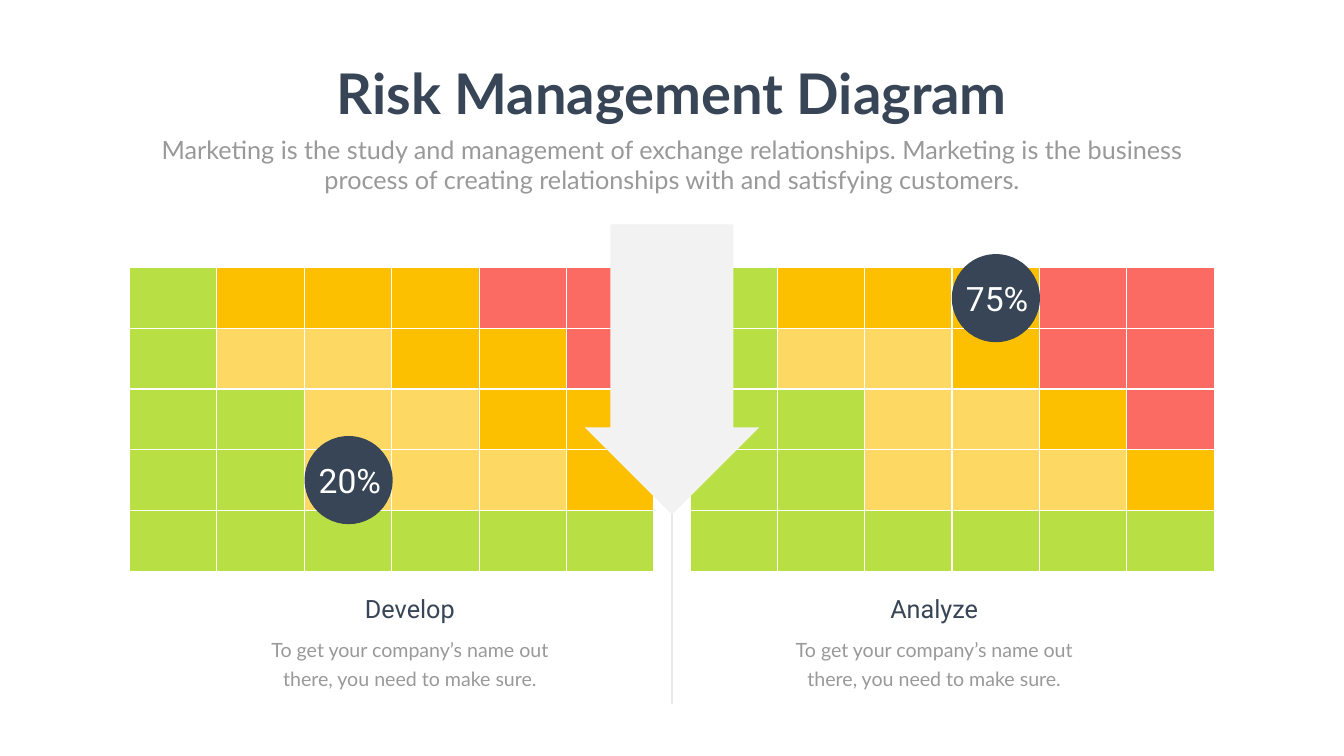
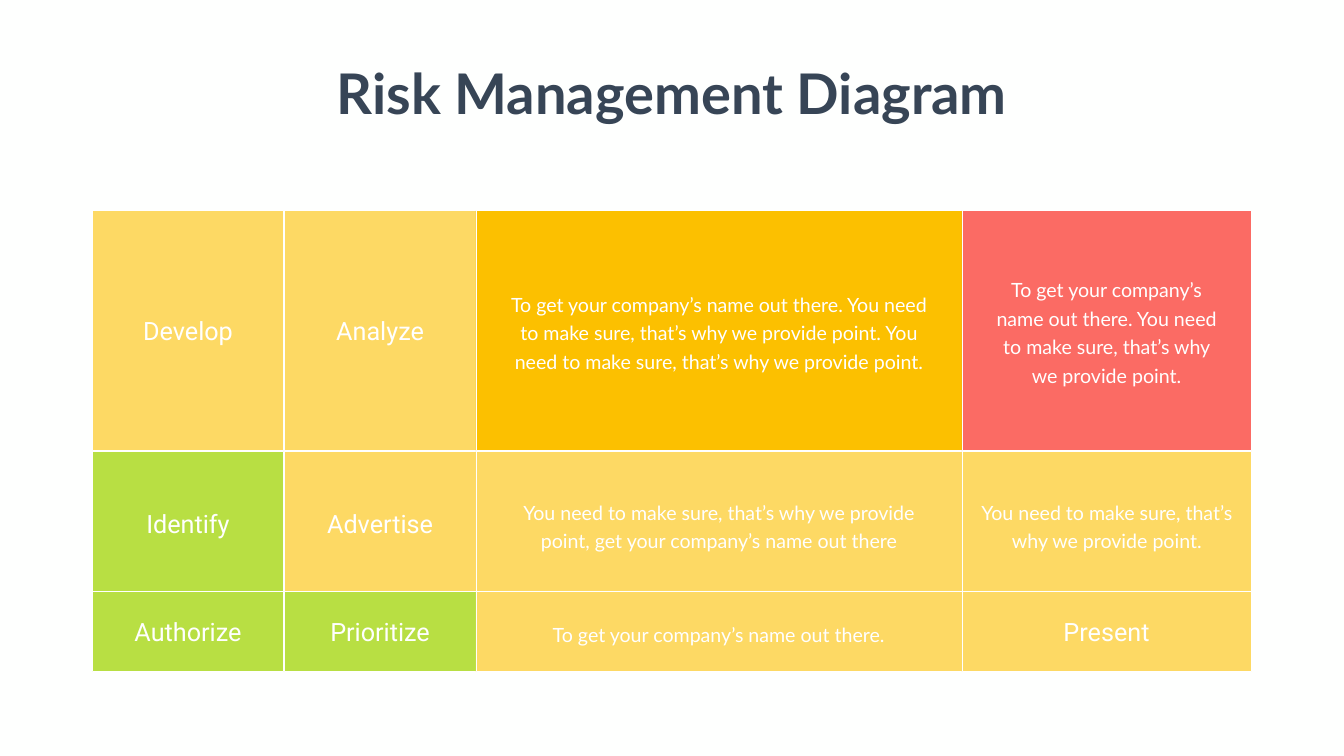
from pptx import Presentation
from pptx.dml.color import RGBColor
from pptx.enum.shapes import MSO_CONNECTOR as CONN, MSO_SHAPE as SHAPE
from pptx.enum.text import MSO_ANCHOR as ANCHOR, MSO_AUTO_SIZE as AUTO, PP_ALIGN as ALIGN
from pptx.oxml.ns import qn
from pptx.util import Pt
from lxml.etree import SubElement

PX = 9144  # 100 px to the inch

PAPER = RGBColor(0xFE, 0xFF, 0xFE)
WHITE = RGBColor(0xFF, 0xFF, 0xFF)
NAVY = RGBColor(0x37, 0x45, 0x56)
TEXT_GREY = RGBColor(0x99, 0x99, 0x99)
LINE_GREY = RGBColor(0x80, 0x80, 0x80)
ARROW_GREY = RGBColor(0xF2, 0xF2, 0xF2)
GREEN = RGBColor(0xB8, 0xDF, 0x43)
YELLOW = RGBColor(0xFD, 0xD9, 0x64)
ORANGE = RGBColor(0xFC, 0xC0, 0x00)
RED = RGBColor(0xFB, 0x6B, 0x64)
RISK = {"G": GREEN, "Y": YELLOW, "O": ORANGE, "R": RED}

# Text styles: font attributes
TITLE = {"name": "Lato", "size": Pt(80), "bold": True}
SUBTITLE = {"name": "Lato", "size": Pt(36)}
LABEL = {"name": "Roboto", "size": Pt(36)}
BODY = {"name": "Lato", "size": Pt(28)}
PERCENT = {"name": "Roboto", "size": Pt(48)}


class Deck:
    def __init__(self, width, height):
        self.prs = Presentation()
        self.prs.slide_width, self.prs.slide_height = width * PX, height * PX
        fill = self.prs.slide_master.background.fill
        fill.solid()
        fill.fore_color.rgb = PAPER

    def new_slide(self, title):
        self.slide = self.prs.slides.add_slide(self.prs.slide_layouts[5])
        self.shapes = self.slide.shapes
        sp = self.shapes.title
        sp.left, sp.top, sp.width, sp.height = [v * PX for v in (646, 112, 1374, 145)]
        self.set_text(sp, title, TITLE, NAVY, wrap=False)

    def group(self):
        return self.shapes.add_group_shape().shapes

    def set_text(self, sp, text, style, color, wrap=True):
        tf = sp.text_frame
        frame = {"word_wrap": wrap, "auto_size": AUTO.SHAPE_TO_FIT_TEXT,
                 "vertical_anchor": ANCHOR.TOP}
        for key, value in frame.items():
            setattr(tf, key, value)
        p = tf.paragraphs[0]
        p.alignment = ALIGN.CENTER
        if style is BODY:
            p.line_spacing = Pt(40.8)
            tf.margin_top = tf.margin_bottom = 3 * PX
        r = p.add_run()
        r.text = text
        for key, value in style.items():
            setattr(r.font, key, value)
        r.font.color.rgb = color

    def text(self, box, text, style, color, wrap=True, parent=None):
        sp = (parent or self.shapes).add_textbox(*[v * PX for v in box])
        self.set_text(sp, text, style, color, wrap)

    def shape(self, kind, box, color, outline=None, parent=None):
        sp = (parent or self.shapes).add_shape(kind, *[v * PX for v in box])
        sp.shadow.inherit = False
        sp.fill.solid()
        sp.fill.fore_color.rgb = color
        if outline is None:
            sp.line.fill.background()
        else:
            sp.line.color.rgb = outline
            sp.line.width = Pt(1)
        return sp

    def line(self, x1, y1, x2, y2, color, alpha):
        cn = self.shapes.add_connector(CONN.STRAIGHT, *[v * PX for v in (x1, y1, x2, y2)])
        cn.line.color.rgb = color
        cn.line.width = Pt(1)
        spPr = cn._element.spPr
        clr = spPr.find(".//" + qn("a:srgbClr"))
        SubElement(clr, qn("a:alpha")).set("val", str(alpha * 1000))
        SubElement(spPr, qn("a:effectLst"))

    def heat_map(self, left, top, rows):
        cells = self.group()
        for i, row in enumerate(rows):
            for j, level in enumerate(row):
                box = (left + round(j * 173.2), top + round(i * 120.4), 173, 120)
                self.shape(SHAPE.RECTANGLE, box, RISK[level], WHITE, cells)

    def badge(self, left, top, text):
        g = self.group()
        self.shape(SHAPE.OVAL, (left, top, 175, 175), NAVY, parent=g)
        self.text((left + 17, top + 42, 146, 91), text, PERCENT, WHITE, False, g)


def build_heat_maps(deck):
    deck.new_slide("Risk Management Diagram")
    deck.text((292, 261, 2082, 131),
              "Marketing is the study and management of exchange relationships. "
              "Marketing is the business process of creating relationships with "
              "and satisfying customers.", SUBTITLE, TEXT_GREY)

    # Divider, the two maps and the arrow between them
    deck.line(1333, 1397, 1333, 531, LINE_GREY, 50)
    deck.heat_map(257, 531, ["GOOORR", "GYYOOR", "GGYYOO", "GGYYYO", "GGGGGG"])
    deck.heat_map(1369, 531, ["GOOORR", "GYYORR", "GGYYOR", "GGYYYO", "GGGGGG"])
    arrow = deck.shape(SHAPE.DOWN_ARROW, (1160, 445, 346, 576), ARROW_GREY)
    arrow.adjustments[0], arrow.adjustments[1] = 0.705, 0.5

    # Captions
    for left, label in ((527, "Develop"), (1567, "Analyze")):
        deck.text((left, 1172, 572, 62), label, LABEL, NAVY)
        deck.text((left, 1253, 572, 119),
                  "To get your company’s name out there, you need to make sure.",
                  BODY, TEXT_GREY)

    deck.badge(604, 865, "20%")
    deck.badge(1888, 504, "75%")


def build_risk_grid(deck):
    deck.new_slide("Risk Management Diagram")
    columns = [(183, 380), (564, 380), (944, 964), (1908, 575)]
    rows = [(418, 476, 621), (895, 283, 1004), (1174, 159, 1217)]  # top, height, label top
    levels = ["YYOR", "GYYY", "GGYY"]

    # Cells
    for (top, height, _), row in zip(rows, levels):
        for (left, width), level in zip(columns, row):
            deck.shape(SHAPE.RECTANGLE, (left, top, width, height), RISK[level], WHITE)

    # Labels: row, column, text
    labels = [(0, 0, "Develop"), (0, 1, "Analyze"), (1, 0, "Identify"),
              (1, 1, "Advertise"), (2, 0, "Authorize"), (2, 1, "Prioritize"),
              (2, 3, "Present")]
    for row, col, label in labels:
        left, width = columns[col]
        deck.text((left + (width - 290) // 2, rows[row][2], 290, 71), label, LABEL, WHITE)

    # Descriptions: column, top, width, height, text
    descriptions = [
        (2, 568, 874, 177, "To get your company’s name out there. You need to make sure, "
         "that’s why we provide point. You need to make sure, that’s why we provide point."),
        (3, 539, 460, 234, "To get your company’s name out there. You need to make sure, "
         "that’s why we provide point."),
        (2, 980, 822, 119, "You need to make sure, that’s why we provide point, "
         "get your company’s name out there"),
        (3, 980, 525, 119, "You need to make sure, that’s why we provide point."),
        (2, 1222, 781, 62, "To get your company’s name out there."),
    ]
    for col, top, width, height, text in descriptions:
        left, cell_width = columns[col]
        deck.text((left + (cell_width - width) // 2, top, width, height), text, BODY, WHITE)


def main():
    deck = Deck(2666, 1500)
    build_heat_maps(deck)
    build_risk_grid(deck)
    deck.prs.save("out.pptx")


if __name__ == "__main__":
    main()
